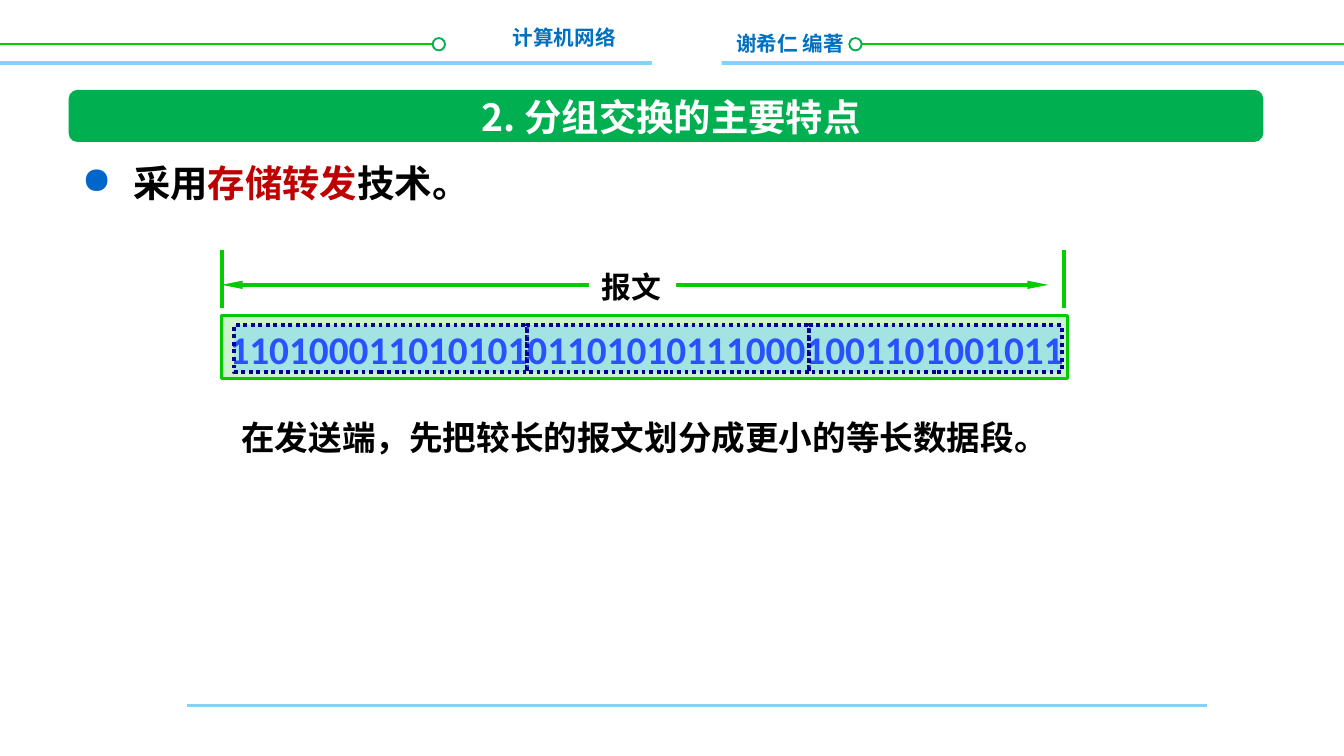
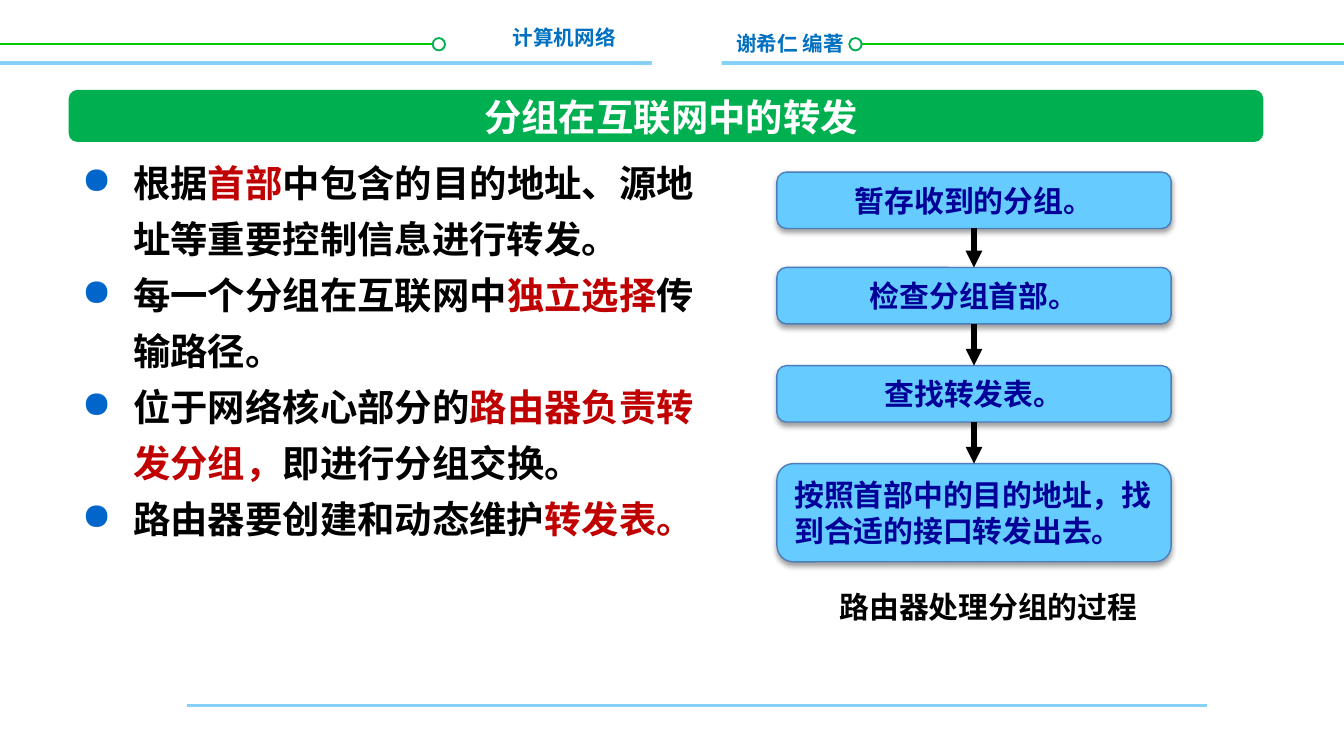
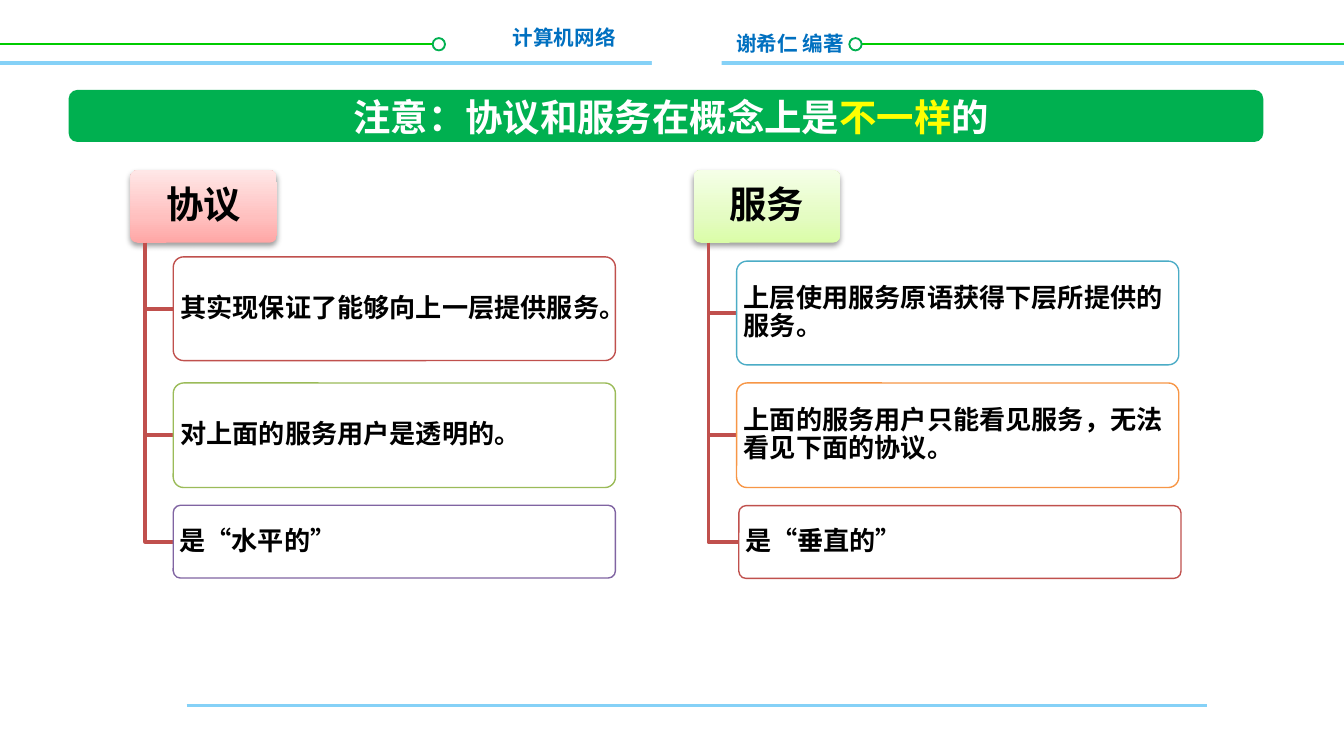
from copy import deepcopy
from dataclasses import dataclass
from itertools import pairwise

from lxml.etree import SubElement
from pptx import Presentation
from pptx.dml.color import RGBColor
from pptx.enum.dml import MSO_LINE
from pptx.enum.shapes import MSO_CONNECTOR, MSO_SHAPE
from pptx.enum.text import MSO_ANCHOR, PP_ALIGN
from pptx.oxml.ns import qn
from pptx.util import Pt


@dataclass(frozen=True)
class Theme:
    """Colours, fonts and type sizes of the deck."""
    font: str = "Noto Sans CJK SC"
    digit_font: str = "Calibri"
    white: str = "FFFFFF"
    black: str = "000000"
    red: str = "C00000"
    yellow: str = "FFFF00"
    banner: str = "00B050"
    rule: str = "00CC00"
    pale_rule: str = "85D1F7"
    header: str = "0070C0"
    bullet: str = "0066CC"
    digits: str = "0000FF"
    message: str = "CDF3CD"
    navy: str = "000099"
    sky: str = "66CCFF"
    step_edge: str = "4B7EBC"
    trunk: str = "C0504D"
    green: str = "9BBB59"
    purple: str = "8064A2"
    teal: str = "4BACC6"
    orange: str = "F79646"
    pink_gradient: tuple = ((0, "FFA6A5"), (0.35, "FFC0BF"), (1, "FFE7E7"))
    lime_gradient: tuple = ((0, "DAFDA7"), (0.35, "E4FCC2"), (1, "F5FFE7"))
    title_size: int = 20
    caption_size: int = 18
    label_size: int = 16
    leaf_size: int = 14
    header_size: int = 11
    digit_size: int = 21


@dataclass(frozen=True)
class Box:
    """A rectangle in points."""
    left: float
    top: float
    width: float
    height: float

    def inner(self, left, top, width, height):
        """Return a box placed relative to this one."""
        return Box(self.left + left, self.top + top, width, height)

    def point(self, x, y):
        """Return a point placed relative to this box."""
        return self.left + x, self.top + y

    def lengths(self):
        """Return the four sides as lengths."""
        return Pt(self.left), Pt(self.top), Pt(self.width), Pt(self.height)


THEME = Theme()


def rgb(color):
    """Return a colour object for a hex string."""
    return RGBColor.from_string(color)


def add_bullet(paragraph, indent=27.4):
    """Give a paragraph a round bullet and a hanging indent."""
    properties = paragraph._p.get_or_add_pPr()
    properties.set("marL", str(Pt(indent)))
    properties.set("indent", str(-Pt(indent)))
    SubElement(SubElement(properties, qn("a:buClr")), qn("a:srgbClr"), val=THEME.bullet)
    SubElement(properties, qn("a:buChar"), char="●")


def write(shape, paragraphs, size, color=THEME.black, align=PP_ALIGN.LEFT, anchor=MSO_ANCHOR.TOP,
          wrap=True, insets=(7.2, 3.6), spacing=None, bullets=False, font=THEME.font):
    """Fill a shape with paragraphs, each a list of (text, colour) runs."""
    frame = shape.text_frame
    frame.word_wrap = wrap
    frame.vertical_anchor = anchor
    frame.margin_left = frame.margin_right = Pt(insets[0])
    frame.margin_top = frame.margin_bottom = Pt(insets[1])
    for index, runs in enumerate(paragraphs):
        paragraph = frame.add_paragraph() if index else frame.paragraphs[0]
        paragraph.alignment = align
        if spacing:
            paragraph.line_spacing = spacing
        if bullets:
            add_bullet(paragraph)
        paragraph.font.size = Pt(size)
        paragraph.font.bold = True
        paragraph.font.color.rgb = rgb(color)
        paragraph.font.name = font
        SubElement(paragraph.font._element, qn("a:ea"), typeface=font)
        for text, run_color in runs:
            run = paragraph.add_run()
            run.text = text
            if run_color:
                run.font.color.rgb = rgb(run_color)


def plain(text):
    """Return one paragraph with a single run."""
    return [[(text, None)]]


def add_text(slide, box, paragraphs, size, **style):
    """Add a text box."""
    write(slide.shapes.add_textbox(*box.lengths()), paragraphs, size, **style)


def set_line(line, color, width):
    """Set the colour and width of a line."""
    line.color.rgb = rgb(color)
    line.width = Pt(width)


def add_shape(slide, kind, box, fill=None, edge=None, width=0.75, alpha=None, radius=None):
    """Add a preset shape without a shadow."""
    shape = slide.shapes.add_shape(kind, *box.lengths())
    shape.shadow.inherit = False
    if radius is not None:
        shape.adjustments[0] = radius
    if fill:
        shape.fill.solid()
        shape.fill.fore_color.rgb = rgb(fill)
    if alpha:
        color = shape._element.spPr.find(qn("a:solidFill"))[0]
        SubElement(color, qn("a:alpha"), val=str(alpha * 1000))
    if edge:
        set_line(shape.line, edge, width)
    else:
        shape.line.fill.background()
    return shape


def add_drop_shadow(shape):
    """Give a shape a soft shadow below it."""
    effects = shape._element.spPr.find(qn("a:effectLst"))
    shadow = SubElement(effects, qn("a:outerShdw"), blurRad=str(Pt(3.1)), dist=str(Pt(1.6)),
                        dir="5400000", rotWithShape="0")
    color = SubElement(shadow, qn("a:srgbClr"), val=THEME.black)
    SubElement(color, qn("a:alpha"), val="38000")


def set_gradient(shape, stops):
    """Fill a shape with a gradient that runs upwards."""
    shape.fill.gradient()
    shape.fill.gradient_angle = 90
    stop_list = shape._element.spPr.find(qn("a:gradFill")).find(qn("a:gsLst"))
    while len(stop_list) < len(stops):
        stop_list.append(deepcopy(stop_list[0]))
    for stop, (position, color) in zip(shape.fill.gradient_stops, stops):
        stop.position = position
        stop.color.rgb = rgb(color)


def add_line(slide, start, end, color, width, arrows=(), arrow_width="med", arrow_length="med"):
    """Add a straight connector with optional arrowheads."""
    connector = slide.shapes.add_connector(MSO_CONNECTOR.STRAIGHT, *map(Pt, start + end))
    set_line(connector.line, color, width)
    outline = connector.line._get_or_add_ln()
    for arrow in arrows:
        SubElement(outline, qn(f"a:{arrow}"), type="triangle", w=arrow_width, len=arrow_length)
    SubElement(connector._element.spPr, qn("a:effectLst"))
    return connector


def add_frame(slide, box):
    """Draw the header, banner and footer rule that every slide shares."""
    ring_size, rule_top = 6.6, 23.7
    header = dict(size=THEME.header_size, color=THEME.header)
    for start, end, ring in ((0, 233.4, 231.8), (455, box.width, 455)):
        add_line(slide, box.point(start, rule_top), box.point(end, rule_top), THEME.rule, 1)
        add_shape(slide, MSO_SHAPE.OVAL, box.inner(ring, rule_top - ring_size / 2, ring_size, ring_size),
                  THEME.white, THEME.banner, 1)
    add_text(slide, box.inner(387.4, 13, 83.5, 20.9), plain("谢希仁 编著"), **header)
    add_text(slide, box.inner(267, 10, 70, 20.9), plain("计算机网络"), align=PP_ALIGN.RIGHT,
             wrap=False, **header)
    add_line(slide, box.point(100, 378), box.point(646.6, 378), THEME.pale_rule, 1.5)
    add_line(slide, box.point(0, 33.7), box.point(box.width, 33.7), THEME.pale_rule, 2)
    add_shape(slide, MSO_SHAPE.RECTANGLE, box.inner(349.2, 10.1, 37.4, 36.7), THEME.white)
    add_shape(slide, MSO_SHAPE.ROUNDED_RECTANGLE, box.inner(36.8, 48.2, 640, 27.9), THEME.banner)


def add_title(slide, box, runs):
    """Write the title over the banner."""
    add_text(slide, box, [runs], THEME.title_size, color=THEME.white,
             align=PP_ALIGN.CENTER, anchor=MSO_ANCHOR.MIDDLE)


def add_bullets(slide, box, paragraphs):
    """Write the bulleted body text."""
    add_text(slide, box, paragraphs, THEME.title_size, spacing=Pt(30), bullets=True)


def add_message_diagram(slide, box):
    """Draw a long message cut into three segments."""
    add_line(slide, box.point(0, 18.7), box.point(442.8, 18.7), THEME.rule, 2.25,
             ("headEnd", "tailEnd"), "sm", "lg")
    label = add_shape(slide, MSO_SHAPE.RECTANGLE, box.inner(196.6, 6.5, 46.8, 26.6), THEME.white)
    write(label, plain("报文"), THEME.label_size, wrap=False)
    add_shape(slide, MSO_SHAPE.RECTANGLE, box.inner(0, 35.3, box.width, 33.8),
              THEME.message, THEME.rule, 1.5)
    for x in (0, 451.4):
        add_line(slide, box.point(x, 0), box.point(x, 31), THEME.rule, 2.25)
    add_text(slide, box.inner(-2.9, 36.7, 465, 32.4),
             plain("110100011010101011010101110001001101001011"),
             THEME.digit_size, color=THEME.digits, font=THEME.digit_font)
    for left, right in pairwise((6.5, 163.4, 314.8, 450)):
        segment = add_shape(slide, MSO_SHAPE.RECTANGLE, box.inner(left, 40.3, right - left, 25.2),
                            THEME.sky, THEME.navy, 2, alpha=40)
        segment.line.dash_style = MSO_LINE.ROUND_DOT
    add_text(slide, box.inner(0, 85.7, box.width, 28.8),
             plain("在发送端，先把较长的报文划分成更小的等长数据段。"),
             THEME.caption_size, align=PP_ALIGN.CENTER)


def add_router_flow(slide, box):
    """Draw the steps a router takes, joined by arrows."""
    steps = (
        ("暂存收到的分组。", 0, 30.2, PP_ALIGN.CENTER),
        ("检查分组首部。", 51.1, 30.2, PP_ALIGN.CENTER),
        ("查找转发表。", 103.7, 30.2, PP_ALIGN.CENTER),
        ("按照首部中的目的地址，找到合适的接口转发出去。", 156.2, 52.6, PP_ALIGN.LEFT),
    )
    shapes = []
    for text, top, height, align in steps:
        step = add_shape(slide, MSO_SHAPE.ROUNDED_RECTANGLE, box.inner(0, top, box.width, height),
                         THEME.sky, THEME.step_edge)
        add_drop_shadow(step)
        write(step, plain(text), THEME.label_size, THEME.navy, align, MSO_ANCHOR.MIDDLE,
              insets=(6.8, 3.6))
        shapes.append(step)
    for upper, lower in pairwise(shapes):
        arrow = add_line(slide, box.point(0, 0), box.point(0, 0), THEME.black, 3, ("tailEnd",))
        arrow.begin_connect(upper, 2)
        arrow.end_connect(lower, 0)
    add_text(slide, box.inner(25.2, 219.6, 176.4, 26.6), plain("路由器处理分组的过程"),
             THEME.label_size, align=PP_ALIGN.CENTER)


def add_branch(slide, box, end_x, end_y):
    """Draw a bent branch from the root of a tree to a leaf."""
    start, corner, end = (tuple(map(Pt, box.point(x, y)))
                          for x, y in ((7.9, 38.9), (7.9, end_y), (end_x, end_y)))
    builder = slide.shapes.build_freeform(*start)
    builder.add_line_segments((corner, end), close=False)
    branch = builder.convert_to_shape()
    branch.shadow.inherit = False
    branch.fill.background()
    set_line(branch.line, THEME.trunk, 2)


def add_tree(slide, box, name, gradient, leaves):
    """Draw a root and its leaves, each given as text, edge, left, top and height."""
    root = add_shape(slide, MSO_SHAPE.ROUNDED_RECTANGLE, box.inner(0, 0, 78.5, 38.9), radius=0.1)
    set_gradient(root, gradient)
    add_drop_shadow(root)
    write(root, plain(name), THEME.title_size, align=PP_ALIGN.CENTER,
          anchor=MSO_ANCHOR.MIDDLE, insets=(3, 2), spacing=0.9)
    for text, edge, left, top, height in leaves:
        add_branch(slide, box, left, top + height / 2)
        leaf = add_shape(slide, MSO_SHAPE.ROUNDED_RECTANGLE, box.inner(left, top, 236.9, height),
                         THEME.white, edge, alpha=90, radius=0.1)
        write(leaf, plain(text), THEME.leaf_size, anchor=MSO_ANCHOR.MIDDLE,
              insets=(2.2, 1.4), spacing=0.9)


def add_slide(presentation, *title):
    """Add a slide with the shared frame and a title."""
    slide = presentation.slides.add_slide(presentation.slide_layouts[6])
    add_frame(slide, Box(0, 0, 720, 405))
    add_title(slide, Box(98.6, 48.2, 522, 28.1), title)
    return slide


def build_features(presentation):
    """Build the slide on packet switching."""
    slide = add_slide(presentation, ("2. 分组交换的主要特点", None))
    add_bullets(slide, Box(36.8, 76.3, 640, 267),
                [[("采用", None), ("存储转发", THEME.red), ("技术。", None)]])
    add_message_diagram(slide, Box(118.8, 133.9, 452.9, 114.5))


def build_forwarding(presentation):
    """Build the slide on forwarding packets."""
    slide = add_slide(presentation, ("分组在互联网中的转发", None))
    add_bullets(slide, Box(36.8, 76.3, 347, 250), [
        [("根据", None), ("首部", THEME.red), ("中包含的目的地址、源地址等重要控制信息进行转发。", None)],
        [("每一个分组在互联网中", None), ("独立选择", THEME.red), ("传输路径。", None)],
        [("位于网络核心部分的", None), ("路由器负责转发分组，", THEME.red), ("即进行分组交换。", None)],
        [("路由器要创建和动态维护", None), ("转发表。", THEME.red)],
    ])
    add_router_flow(slide, Box(416.2, 92.2, 211.2, 246.2))


def build_comparison(presentation):
    """Build the slide that compares protocol and service."""
    slide = add_slide(presentation, ("注意：协议和服务在概念上是", None),
                      ("不一样", THEME.yellow), ("的", None))
    add_tree(slide, Box(69.8, 91.2, 260, 218.2), "协议", THEME.pink_gradient, (
        ("其实现保证了能够向上一层提供服务。", THEME.trunk, 23, 46.4, 55.6),
        ("对上面的服务用户是透明的。", THEME.green, 23, 114, 56),
        ("是“水平的”", THEME.purple, 23, 179.5, 39),
    ))
    add_tree(slide, Box(371.6, 91.2, 260, 218.2), "服务", THEME.lime_gradient, (
        ("上层使用服务原语获得下层所提供的服务。", THEME.teal, 23, 48.7, 55.6),
        ("上面的服务用户只能看见服务，无法看见下面的协议。", THEME.orange, 23, 114, 56),
        ("是“垂直的”", THEME.trunk, 24.2, 179.7, 39),
    ))


def main():
    """Build and save the presentation."""
    presentation = Presentation()
    presentation.slide_width, presentation.slide_height = Pt(720), Pt(405)
    build_features(presentation)
    build_forwarding(presentation)
    build_comparison(presentation)
    presentation.save("out.pptx")


if __name__ == "__main__":
    main()
